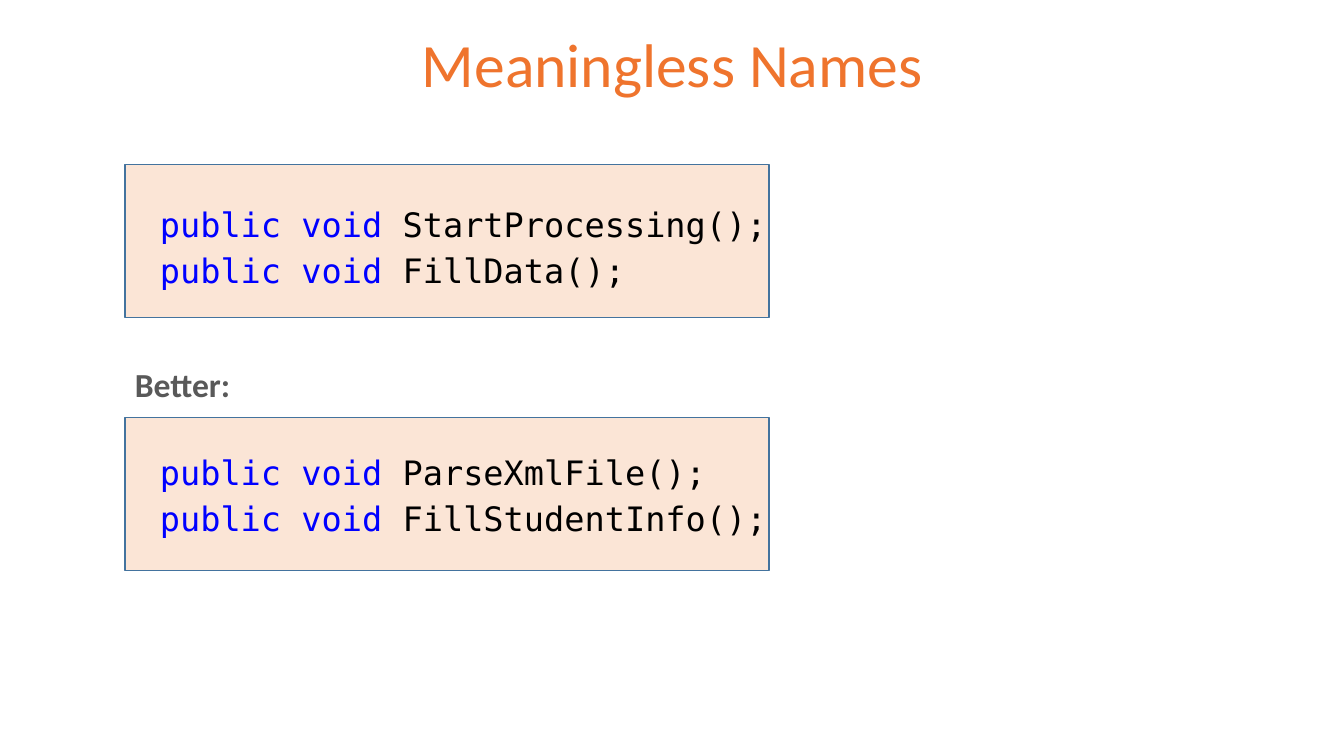
from dataclasses import dataclass

from pptx import Presentation
from pptx.dml.color import RGBColor
from pptx.enum.shapes import MSO_SHAPE
from pptx.enum.text import MSO_ANCHOR, MSO_AUTO_SIZE, PP_ALIGN
from pptx.slide import Slide
from pptx.text.text import TextFrame
from pptx.util import Cm, Pt


@dataclass(frozen=True)
class Theme:
    sans: str = "Calibri"
    mono: str = "DejaVu Sans Mono"
    title: str = "EF742D"
    label: str = "595959"
    key: str = "0000FF"
    code: str = "000000"
    fill: str = "FBE5D6"
    edge: str = "43739E"
    head: int = 44
    body: int = 24


@dataclass(frozen=True)
class Panel:
    top: float
    text_top: float
    names: tuple[str, ...]


THEME = Theme()
LEFT = 3.15
PANELS = (
    Panel(4.14, 4.85, ("StartProcessing();", "FillData();")),
    Panel(10.52, 11.1, ("ParseXmlFile();", "FillStudentInfo();")),
)


def write(frame: TextFrame, lines: list[list[tuple[str, str]]], *,
          font: str = THEME.sans, size: int = THEME.body,
          bold: bool = False, align: PP_ALIGN = PP_ALIGN.LEFT,
          space: float = 1.0) -> None:
    """Fill the frame with lines, each a list of (text, colour) runs."""
    frame.word_wrap = True
    frame.auto_size = MSO_AUTO_SIZE.NONE
    for i, line in enumerate(lines):
        para = frame.add_paragraph() if i else frame.paragraphs[0]
        para.alignment = align
        para.line_spacing = space
        for text, color in line:
            run = para.add_run()
            run.text = text
            run.font.name = font
            run.font.size = Pt(size)
            run.font.bold = bold
            run.font.color.rgb = RGBColor.from_string(color)


def add_title(slide: Slide, text: str) -> None:
    title = slide.shapes.title
    title.left, title.top = Cm(2.34), Cm(-0.13)
    title.width, title.height = Cm(29.21), Cm(3.68)
    title.text_frame.vertical_anchor = MSO_ANCHOR.MIDDLE
    write(title.text_frame, [[(text, THEME.title)]], size=THEME.head,
          align=PP_ALIGN.CENTER, space=0.9)


def add_label(slide: Slide, text: str) -> None:
    box = slide.shapes.add_textbox(Cm(LEFT), Cm(9.04), Cm(22.94), Cm(1.27))
    write(box.text_frame, [[(text, THEME.label)]], bold=True)


def add_panel(slide: Slide, panel: Panel) -> None:
    rect = slide.shapes.add_shape(
        MSO_SHAPE.RECTANGLE, Cm(LEFT), Cm(panel.top), Cm(16.23), Cm(3.86))
    rect.shadow.inherit = False
    rect.fill.solid()
    rect.fill.fore_color.rgb = RGBColor.from_string(THEME.fill)
    rect.line.color.rgb = RGBColor.from_string(THEME.edge)
    rect.line.width = Pt(1)
    box = slide.shapes.add_textbox(
        Cm(3.78), Cm(panel.text_top), Cm(18.82), Cm(2.62))
    lines = [[("public void ", THEME.key), (name, THEME.code)]
             for name in panel.names]
    write(box.text_frame, lines, font=THEME.mono, space=1.15)


def main() -> None:
    deck = Presentation()
    deck.slide_width, deck.slide_height = Cm(33.87), Cm(19.05)
    slide = deck.slides.add_slide(deck.slide_layouts.get_by_name("Title Only"))
    add_title(slide, "Meaningless Names")
    add_label(slide, "Better:")
    for panel in PANELS:
        add_panel(slide, panel)
    deck.save("out.pptx")


if __name__ == "__main__":
    main()
